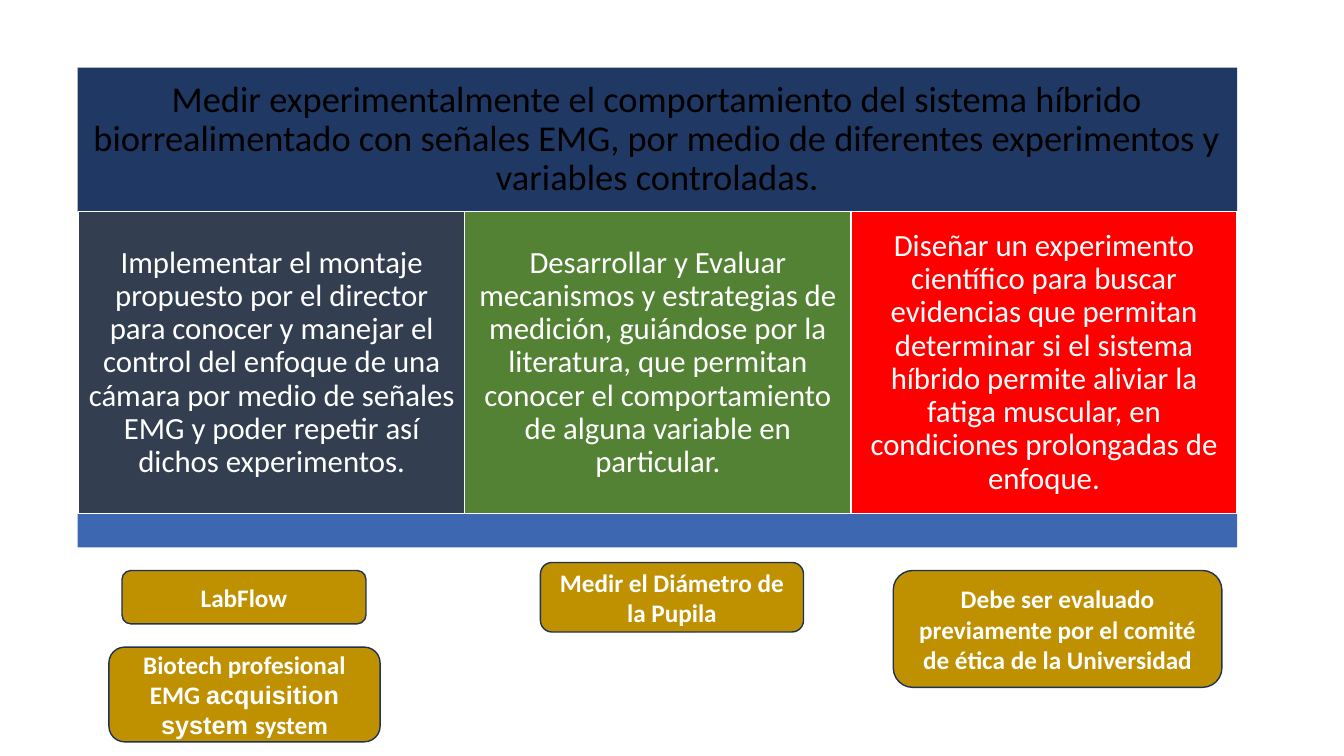
from pptx import Presentation
from pptx.dml.color import RGBColor
from pptx.enum.shapes import MSO_SHAPE
from pptx.enum.text import MSO_ANCHOR, PP_ALIGN
from pptx.util import Pt

PX = 9144
FONT = "Calibri"
HEADER = (
    "Medir experimentalmente el comportamiento del sistema híbrido biorrealimentado "
    "con señales EMG, por medio de diferentes experimentos y variables controladas."
)
OBJECTIVES = [
    ("333F50", "Implementar el montaje propuesto por el director para conocer y manejar "
               "el control del enfoque de una cámara por medio de señales EMG y poder "
               "repetir así dichos experimentos."),
    ("548235", "Desarrollar y Evaluar mecanismos y estrategias de medición, guiándose por "
               "la literatura, que permitan conocer el comportamiento de alguna variable "
               "en particular."),
    ("FF0000", "Diseñar un experimento científico para buscar evidencias que permitan "
               "determinar si el sistema híbrido permite aliviar la fatiga muscular, en "
               "condiciones prolongadas de enfoque."),
]
NOTES = [
    ((121, 566, 242, 53), [("LabFlow", FONT)]),
    ((108, 642, 269, 94), [("Biotech profesional EMG ", FONT),
                           ("acquisition system ", "Arial"), ("system", FONT)]),
    ((536, 558, 261, 69), [("Medir el Diámetro de la Pupila", FONT)]),
    ((886, 566, 326, 116), [("Debe ser evaluado previamente por el comité de ética "
                             "de la Universidad", FONT)]),
]


def rgb(value):
    """Return the colour for a hex string."""
    return RGBColor.from_string(value)


def add_box(s, kind, box, fill, line=None):
    """Add a filled shape, outlined only when a line colour is given."""
    sp = s.shapes.add_shape(kind, *(v * PX for v in box))
    sp.shadow.inherit = False
    sp.fill.solid()
    sp.fill.fore_color.rgb = rgb(fill)
    if line:
        sp.line.color.rgb = rgb(line)
        sp.line.width = Pt(1)
    else:
        sp.line.fill.background()
    return sp


def write(sp, runs, size, color="FFFFFF", bold=False):
    """Write one centred paragraph of (text, font) runs and return it."""
    tf = sp.text_frame
    tf.word_wrap = True
    tf.vertical_anchor = MSO_ANCHOR.MIDDLE
    p = tf.paragraphs[0]
    p.alignment = PP_ALIGN.CENTER
    p.font.size = Pt(size)
    p.font.bold = bold
    p.font.color.rgb = rgb(color)
    fonts = {font for _, font in runs}
    if len(fonts) == 1:
        p.font.name = runs[0][1]
    for text, font in runs:
        r = p.add_run()
        r.text = text
        if len(fonts) > 1:
            r.font.name = font
    return p


def add_panel(s, box, fill, text, size, inset, color="FFFFFF", line=None):
    """Add a rectangle with tightly spaced text and equal insets."""
    sp = add_box(s, MSO_SHAPE.RECTANGLE, box, fill, line)
    tf = sp.text_frame
    tf.margin_left = tf.margin_right = tf.margin_top = tf.margin_bottom = inset * PX
    write(sp, [(text, FONT)], size, color).line_spacing = 0.9


def add_note(s, box, runs):
    """Add a rounded gold label with bold text."""
    sp = add_box(s, MSO_SHAPE.ROUNDED_RECTANGLE, box, "BF9000", "1E3256")
    write(sp, runs, 18, bold=True)


def main():
    """Build the slide of objectives and save it."""
    prs = Presentation()
    prs.slide_width, prs.slide_height = 1333 * PX, 750 * PX
    s = prs.slides.add_slide(prs.slide_layouts[6])
    add_panel(s, (77, 67, 1150, 143), "203864", HEADER, 26, 11, "000000")
    for i, (fill, text) in enumerate(OBJECTIVES):
        add_panel(s, (78 + 383 * i, 210, 383, 300), fill, text, 22, 9, line="FFFFFF")
    add_box(s, MSO_SHAPE.RECTANGLE, (77, 510, 1150, 33), "3E67B2")
    for box, runs in NOTES:
        add_note(s, box, runs)
    prs.save("out.pptx")


if __name__ == "__main__":
    main()
